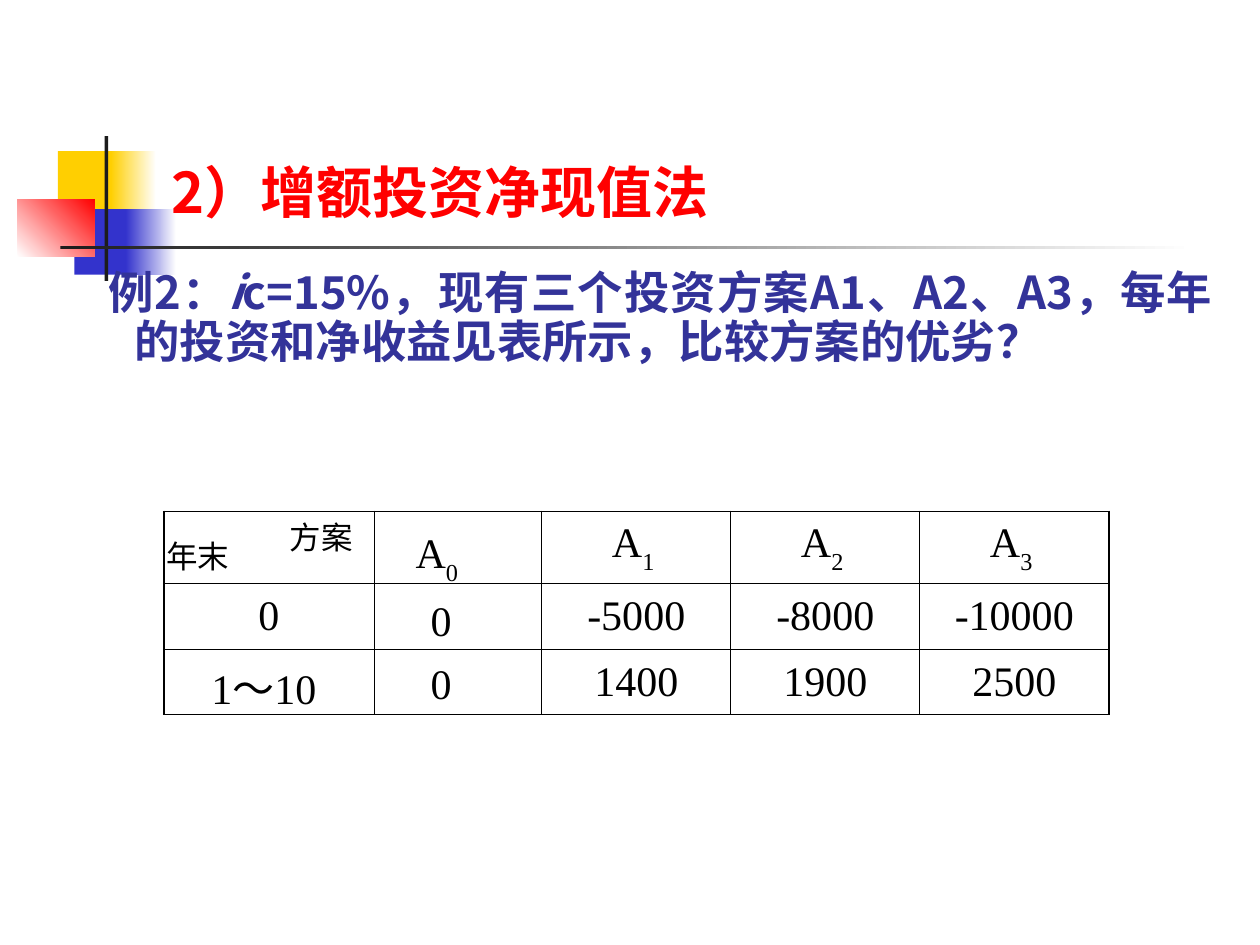
import pptx
import pptx.util
import pptx.dml.color
import pptx.enum.shapes
import pptx.enum.text
import pptx.oxml
import pptx.oxml.ns
from lxml import etree

Inches = pptx.util.Inches
Pt = pptx.util.Pt
RGBColor = pptx.dml.color.RGBColor
ALIGN = pptx.enum.text.PP_ALIGN
ANCHOR = pptx.enum.text.MSO_ANCHOR

BLACK = RGBColor(0x00, 0x00, 0x00)
WHITE = RGBColor(0xFF, 0xFF, 0xFF)
YELLOW = RGBColor(0xFF, 0xCF, 0x01)
BLUE = RGBColor(0x33, 0x33, 0xCC)
RED = RGBColor(0xFF, 0x00, 0x00)
CHARCOAL = RGBColor(0x1C, 0x1C, 0x1C)
INDIGO = RGBColor(0x33, 0x33, 0x99)

SANS = "Noto Sans CJK SC"
SERIF = "Times New Roman"
THIN, THICK = 0.45, 1.08
SUBSCRIPT = "-30000"

PLANS = ["A1 ", "A2 ", "A3 "]
CASH_FLOWS = [
    ["0", "", "-5000", "-8000", "-10000"],
    ["1～10 ", "", "1400", "1900", "2500"],
]
COLUMN_WIDTHS = [1.67, 1.33, 1.5, 1.5, 1.5]
ROW_HEIGHTS = [0.57, 0.52, 0.52]


def style_run(run, size, font, color, bold=False):
    run.font.size = Pt(size)
    run.font.name = font
    run.font.bold = bold
    run.font.color.rgb = color
    if font == SANS:
        east_asian = etree.SubElement(run.font._element, pptx.oxml.ns.qn("a:ea"))
        east_asian.set("typeface", font)


def write_symbol(paragraph, text):
    """Write a value in the table's type; in a plan name, all after A is subscript."""
    parts = ["A", text[1:]] if text.startswith("A") else [text]
    for index, part in enumerate(parts):
        run = paragraph.add_run()
        run.text = part
        style_run(run, 24, SERIF, BLACK)
        if index:
            run.font._element.set("baseline", SUBSCRIPT)


def add_text_frame(slide, left, top, width, height, wrap=True):
    box = slide.shapes.add_textbox(Inches(left), Inches(top), Inches(width), Inches(height))
    box.text_frame.word_wrap = wrap
    return box.text_frame


def add_block(slide, left, top, width, height, start, end=None, angle=0):
    """Add a borderless rectangle, fading from start to end when end is given."""
    block = slide.shapes.add_shape(
        pptx.enum.shapes.MSO_SHAPE.RECTANGLE,
        Inches(left), Inches(top), Inches(width), Inches(height))
    block.shadow.inherit = False
    block.line.fill.background()
    if end is None:
        block.fill.solid()
        block.fill.fore_color.rgb = start
        return
    block.fill.gradient()
    block.fill.gradient_angle = angle
    for stop, color in zip(block.fill.gradient_stops, (start, end)):
        stop.color.rgb = color


def add_ornament(slide, left, top):
    add_block(slide, left + 0.32, top + 0.12, 0.48, 0.52, YELLOW)
    add_block(slide, left + 0.74, top + 0.12, 0.36, 0.52, YELLOW, WHITE)
    add_block(slide, left + 0.45, top + 0.58, 0.46, 0.52, BLUE)
    add_block(slide, left + 0.86, top + 0.58, 0.4, 0.52, BLUE, WHITE)
    add_block(slide, left, top + 0.5, 0.61, 0.46, WHITE, RED, angle=45)
    add_block(slide, left + 0.69, top, 0.03, 1.15, CHARCOAL)
    add_block(slide, left + 0.34, top + 0.87, 9, 0.03, CHARCOAL, WHITE)


def add_title(slide, left, top, width, height):
    frame = add_text_frame(slide, left, top, width, height)
    frame.vertical_anchor = ANCHOR.BOTTOM
    frame.text = "2）增额投资净现值法"
    style_run(frame.paragraphs[0].runs[0], 32, SANS, RED, bold=True)


def add_example(slide, left, top, width, height):
    paragraph = add_text_frame(slide, left, top, width, height).paragraphs[0]
    paragraph.alignment = ALIGN.JUSTIFY
    paragraph.line_spacing = 0.9
    paragraph._p.get_or_add_pPr().set("marL", str(Inches(0.38)))
    paragraph._p.get_or_add_pPr().set("indent", str(Inches(-0.21)))
    question = "c=15%，现有三个投资方案A1、A2、A3，每年的投资和净收益见表所示，比较方案的优劣？"
    for text in ("例2：", "i", question):
        run = paragraph.add_run()
        run.text = text
        style_run(run, 25.9, SANS, INDIGO, bold=True)
        run.font.italic = text == "i"


def set_border(cell, side, width):
    line = etree.SubElement(cell._tc.get_or_add_tcPr(), pptx.oxml.ns.qn("a:ln" + side))
    line.set("w", str(Pt(width)))
    fill = etree.SubElement(line, pptx.oxml.ns.qn("a:solidFill"))
    etree.SubElement(fill, pptx.oxml.ns.qn("a:srgbClr")).set("val", str(BLACK))


def add_cash_flow_table(slide, left, top):
    rows = [["", ""] + PLANS] + CASH_FLOWS
    last_row, last_column = len(rows) - 1, len(COLUMN_WIDTHS) - 1
    table = slide.shapes.add_table(
        len(rows), len(COLUMN_WIDTHS), Inches(left), Inches(top),
        Inches(sum(COLUMN_WIDTHS)), Inches(sum(ROW_HEIGHTS))).table
    table.first_row = table.horz_banding = False
    for column, width in zip(table.columns, COLUMN_WIDTHS):
        column.width = Inches(width)
    for row, height in zip(table.rows, ROW_HEIGHTS):
        row.height = Inches(height)
    for r, values in enumerate(rows):
        for c, value in enumerate(values):
            cell = table.cell(r, c)
            cell.vertical_anchor = ANCHOR.MIDDLE
            outer = {"L": c == 0, "R": c == last_column, "T": r == 0, "B": r == last_row}
            for side, is_outer in outer.items():
                set_border(cell, side, THICK if is_outer else THIN)
            cell.fill.background()
            if value:
                paragraph = cell.text_frame.paragraphs[0]
                paragraph.alignment = ALIGN.CENTER
                write_symbol(paragraph, value)


def add_table_labels(slide, left, top):
    """Place the two corner headings and the A0 column over the table."""
    for text, dx, dy in (("年末", -0.08, 0.15), ("方案", 0.9, 0)):
        frame = add_text_frame(slide, left + dx, top + dy, 0.7, 0.4, wrap=False)
        frame.text = text
        style_run(frame.paragraphs[0].runs[0], 18, SERIF, BLACK)
    for text, dx, dy, width, height in (
            ("A0", 1.9, 0.07, 0.59, 0.57),
            ("0", 2.02, 0.61, 0.39, 0.5),
            ("0", 2.02, 1.11, 0.39, 0.5)):
        frame = add_text_frame(slide, left + dx, top + dy, width, height, wrap=False)
        write_symbol(frame.paragraphs[0], text)


def main():
    deck = pptx.Presentation()
    deck.slide_width, deck.slide_height = Inches(10), Inches(7.5)
    slide = deck.slides.add_slide(deck.slide_layouts[6])
    add_ornament(slide, 0.14, 1.08)
    add_title(slide, 1.26, 1.07, 8.52, 0.76)
    add_example(slide, 0.59, 2.1, 9.13, 1.5)
    add_cash_flow_table(slide, 1.3, 4.06)
    add_table_labels(slide, 1.3, 4.06)
    deck.save("out.pptx")


if __name__ == "__main__":
    main()
